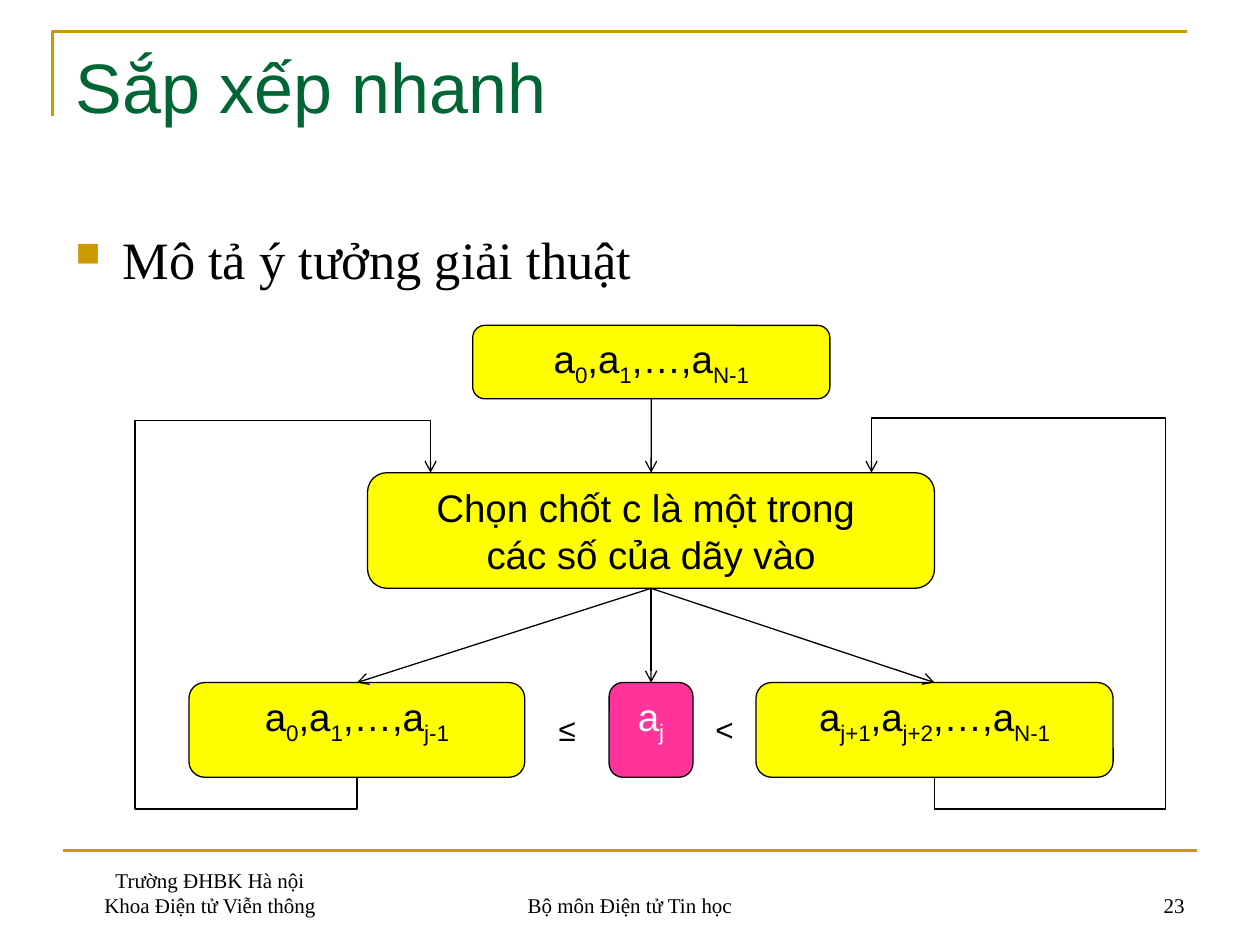
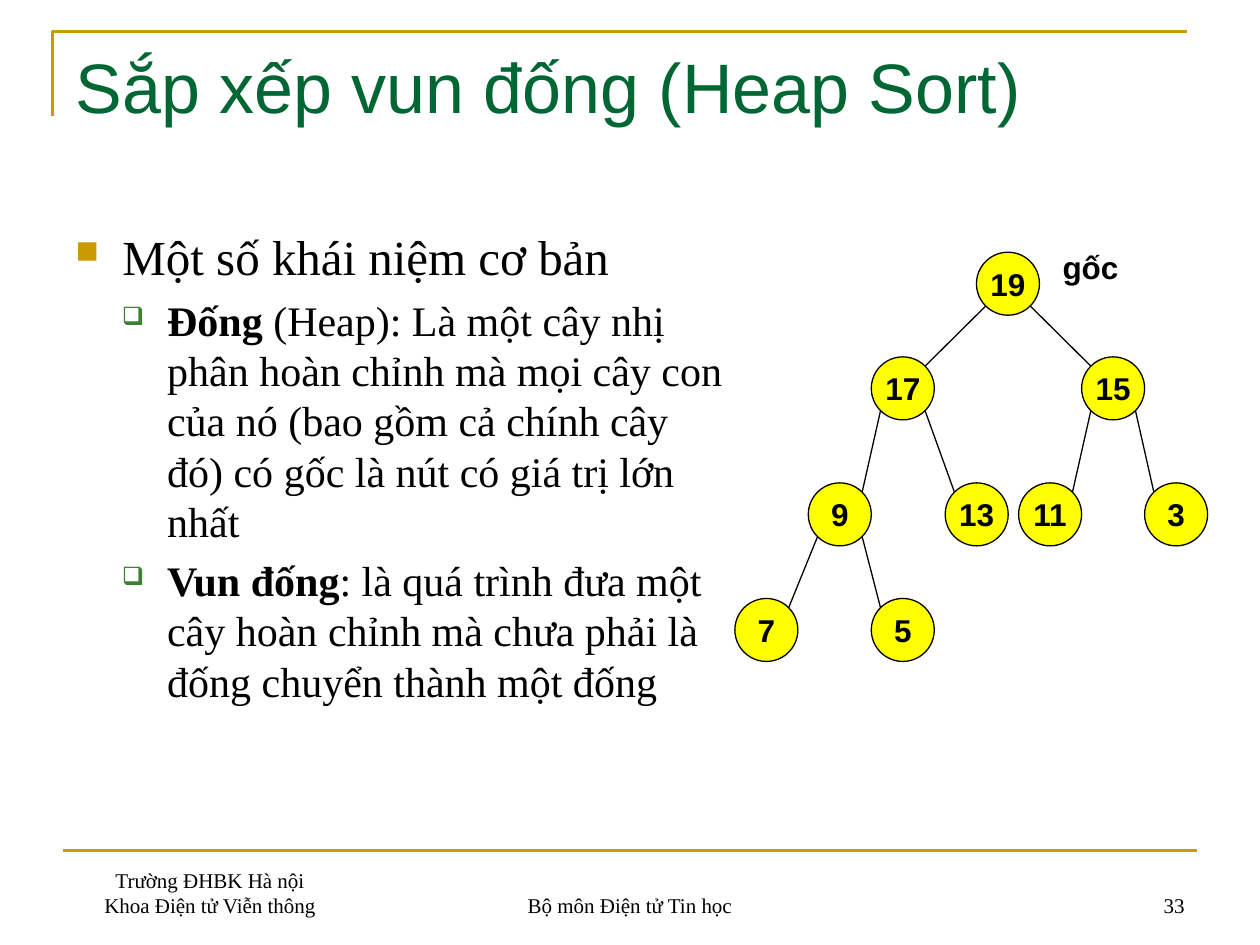
from pptx import Presentation
from pptx.dml.color import RGBColor
from pptx.enum.shapes import MSO_CONNECTOR, MSO_SHAPE
from pptx.enum.text import MSO_ANCHOR, PP_ALIGN
from pptx.oxml.xmlchemy import OxmlElement
from pptx.util import Cm, Pt

STRAIGHT = MSO_CONNECTOR.STRAIGHT
ROUNDED, OVAL = MSO_SHAPE.ROUNDED_RECTANGLE, MSO_SHAPE.OVAL
LEFT, CENTER, RIGHT = PP_ALIGN.LEFT, PP_ALIGN.CENTER, PP_ALIGN.RIGHT
TOP, MIDDLE, BOTTOM = MSO_ANCHOR.TOP, MSO_ANCHOR.MIDDLE, MSO_ANCHOR.BOTTOM

SANS, SERIF = "Arial", "Times New Roman"
BLACK, WHITE = "000000", "FFFFFF"
GOLD, TITLE_GREEN, BULLET_GREEN = "CC9900", "006633", "3B812F"
YELLOW, PINK = "FFFF00", "FF3399"
BOTTOM_SITE, TOP_SITE = 2, 0
BULLETS = [("■", GOLD, 65, 0.95, -0.95), ("❑", BULLET_GREEN, 60, 1.85, -0.91)]

NODE_SIZE = 1.27
EDGE_OFFSET = 0.45
LEVEL_Y = [5.72, 7.83, 10.37, 12.7]
HEAP = [(19, 20.32), (17, 18.2), (15, 22.44), (9, 16.93), (13, 19.69),
        (11, 21.17), (3, 23.71), (7, 15.45), (5, 18.2)]


def rgb(colour):
    return RGBColor.from_string(colour)


def lengths(*values):
    return [Cm(value) for value in values]


def format_runs(paragraph, font, size, colour, bold=False, align=LEFT):
    paragraph.alignment = align
    for run in paragraph.runs:
        run.font.name = font
        run.font.size = Pt(size)
        run.font.bold = bold
        run.font.color.rgb = rgb(colour)


def write(text_frame, text, font, size, colour=BLACK, bold=False,
          align=LEFT, anchor=TOP):
    text_frame.text = text
    text_frame.word_wrap = True
    text_frame.vertical_anchor = anchor
    for paragraph in text_frame.paragraphs:
        format_runs(paragraph, font, size, colour, bold, align)


def add_text(slide, box, text, font, size, **style):
    shape = slide.shapes.add_textbox(*lengths(*box))
    write(shape.text_frame, text, font, size, **style)


def style_line(shape, colour=BLACK, width=0.75, arrow=False):
    shape.line.color.rgb = rgb(colour)
    shape.line.width = Pt(width)
    if arrow:
        tail = OxmlElement("a:tailEnd")
        tail.set("type", "arrow")
        shape.line._get_or_add_ln().append(tail)


def add_line(slide, start, end, colour=BLACK, width=0.75, arrow=False):
    line = slide.shapes.add_connector(STRAIGHT, *lengths(*start, *end))
    line._element.spPr.append(OxmlElement("a:effectLst"))
    style_line(line, colour, width, arrow)
    return line


def add_polyline(slide, points, **line_style):
    corners = [lengths(*point) for point in points]
    builder = slide.shapes.build_freeform(*corners[0], scale=1.0)
    builder.add_line_segments(corners[1:], close=False)
    shape = builder.convert_to_shape()
    shape.shadow.inherit = False
    shape.fill.background()
    style_line(shape, **line_style)


def add_filled_shape(slide, kind, box, fill):
    shape = slide.shapes.add_shape(kind, *lengths(*box))
    shape.shadow.inherit = False
    shape.fill.solid()
    shape.fill.fore_color.rgb = rgb(fill)
    style_line(shape)
    return shape


def add_sequence_box(slide, box, text, fill=YELLOW, colour=BLACK):
    shape = add_filled_shape(slide, ROUNDED, box, fill)
    write(shape.text_frame, "", SANS, 22)
    for line_index, line in enumerate(text.split("\n")):
        if line_index:
            shape.text_frame.add_paragraph()
        paragraph = shape.text_frame.paragraphs[-1]
        for part_index, part in enumerate(line.split("|")):
            run = paragraph.add_run()
            run.text = part
            if part_index % 2:
                run.font._element.set("baseline", "-25000")
        format_runs(paragraph, SANS, 22, colour, align=CENTER)
    return shape


def add_arrow(slide, source, target):
    arrow = add_line(slide, (0, 0), (1, 1), arrow=True)
    arrow.begin_connect(source, BOTTOM_SITE)
    arrow.end_connect(target, TOP_SITE)


def add_property(properties, tag, value_tag=None, **attributes):
    element = OxmlElement(tag)
    target = element
    if value_tag:
        target = OxmlElement(value_tag)
        element.append(target)
    for name, value in attributes.items():
        target.set(name, str(value))
    properties.append(element)


def set_bullet(paragraph, level):
    symbol, colour, percent, margin, indent = BULLETS[level]
    properties = paragraph._p.get_or_add_pPr()
    properties.set("marL", str(Cm(margin)))
    properties.set("indent", str(Cm(indent)))
    add_property(properties, "a:spcBef", "a:spcPct", val=20000)
    add_property(properties, "a:buClr", "a:srgbClr", val=colour)
    add_property(properties, "a:buSzPct", val=percent * 1000)
    add_property(properties, "a:buChar", char=symbol)


def add_body(slide, width, heading, size, definitions=()):
    body = slide.shapes.add_textbox(*lengths(1.27, 4.45, width, 12.57))
    write(body.text_frame, heading, SERIF, size)
    set_bullet(body.text_frame.paragraphs[0], 0)
    for term, meaning in definitions:
        paragraph = body.text_frame.add_paragraph()
        paragraph.level = 1
        for text in (term, meaning):
            paragraph.add_run().text = text
        format_runs(paragraph, SERIF, 24, BLACK)
        paragraph.runs[0].font.bold = True
        set_bullet(paragraph, 1)


def add_framed_slide(presentation, title, number):
    slide = presentation.slides.add_slide(presentation.slide_layouts[5])
    add_polyline(slide, [(1.06, 2.33), (1.06, 0.64), (23.92, 0.64)],
                 colour=GOLD, width=1.5)
    add_line(slide, (1.27, 17.15), (24.13, 17.15), GOLD, 1.5)
    heading = slide.shapes.title
    heading.left, heading.top, heading.width, heading.height = lengths(
        1.27, 0.76, 22.86, 3.18)
    write(heading.text_frame, title, SANS, 40, TITLE_GREEN)
    footers = [
        (1.27, 5.93, "Trường ĐHBK Hà nội\nKhoa Điện tử Viễn thông", CENTER),
        (8.68, 8.04, "Bộ môn Điện tử Tin học", CENTER),
        (18.2, 5.93, str(number), RIGHT),
    ]
    for left, width, text, align in footers:
        add_text(slide, (left, 17.36, width, 1.27), text, SERIF, 12,
                 align=align, anchor=BOTTOM)
    return slide


def add_quick_sort_diagram(slide):
    row_top, row_height = 13.76, 1.91
    row_bottom = row_top + row_height
    pivot_left, pivot_top, pivot_width = 7.41, 9.53, 11.43

    whole = add_sequence_box(slide, (9.53, 6.56, 7.2, 1.48),
                             "a|0|,a|1|,…,a|N-1")
    pivot = add_sequence_box(
        slide, (pivot_left, pivot_top, pivot_width, 2.33),
        "Chọn chốt c là một trong \ncác số của dãy vào")
    smaller = add_sequence_box(slide, (3.81, row_top, 6.77, row_height),
                               "a|0|,a|1|,…,a|j-1")
    larger = add_sequence_box(slide, (15.24, row_top, 7.2, row_height),
                              "a|j+1|,a|j+2|,…,a|N-1")
    middle = add_sequence_box(slide, (12.28, row_top, 1.69, row_height),
                              "a|j", PINK, WHITE)
    for left, sign in ((10.8, "≤"), (13.97, "<")):
        add_text(slide, (left, 14.18, 1.27, 1.02), sign, SANS, 18,
                 align=CENTER)

    add_arrow(slide, whole, pivot)
    for part in (middle, smaller, larger):
        add_arrow(slide, pivot, part)

    loops = [(7.2, 2.72, 8.48, pivot_left + 1.27),
             (18.84, 23.5, 8.43, pivot_left + pivot_width - 1.27)]
    for start_x, outer_x, upper_y, end_x in loops:
        lower_y = row_bottom + 0.64
        add_polyline(slide, [(start_x, row_bottom), (start_x, lower_y),
                             (outer_x, lower_y), (outer_x, upper_y),
                             (end_x, upper_y), (end_x, pivot_top)],
                     arrow=True)


def node_centre(index):
    level = (index + 1).bit_length() - 1
    return HEAP[index][1], LEVEL_Y[level]


def add_heap_tree(slide):
    for index, (value, _) in enumerate(HEAP):
        x, y = node_centre(index)
        node = add_filled_shape(
            slide, OVAL,
            (x - NODE_SIZE / 2, y - NODE_SIZE / 2, NODE_SIZE, NODE_SIZE),
            YELLOW)
        write(node.text_frame, str(value), SANS, 18, bold=True,
              align=CENTER, anchor=MIDDLE)
        node.text_frame.margin_left = node.text_frame.margin_right = 0
        node.text_frame.word_wrap = False
    for index in range(1, len(HEAP)):
        parent_x, parent_y = node_centre((index - 1) // 2)
        x, y = node_centre(index)
        side = -EDGE_OFFSET if index % 2 else EDGE_OFFSET
        add_line(slide, (parent_x + side, parent_y + EDGE_OFFSET),
                 (x - side, y - EDGE_OFFSET))
    add_text(slide, (21.17, 4.87, 2.75, 1.02), "gốc", SANS, 18, bold=True)


def main():
    presentation = Presentation()
    presentation.slide_width, presentation.slide_height = lengths(25.4, 19.05)

    quick_sort = add_framed_slide(presentation, "Sắp xếp nhanh", 23)
    add_body(quick_sort, 22.86, "Mô tả ý tưởng giải thuật", 30)
    add_quick_sort_diagram(quick_sort)

    heap_sort = add_framed_slide(presentation,
                                 "Sắp xếp vun đống (Heap Sort)", 33)
    add_body(heap_sort, 13.76, "Một số khái niệm cơ bản", 28, [
        ("Đống", " (Heap): Là một cây nhị phân hoàn chỉnh mà mọi cây con "
                 "của nó (bao gồm cả chính cây đó) có gốc là nút có giá trị "
                 "lớn nhất"),
        ("Vun đống", ": là quá trình đưa một cây hoàn chỉnh mà chưa phải là "
                     "đống chuyển thành một đống"),
    ])
    add_heap_tree(heap_sort)
    presentation.save("out.pptx")


if __name__ == "__main__":
    main()
